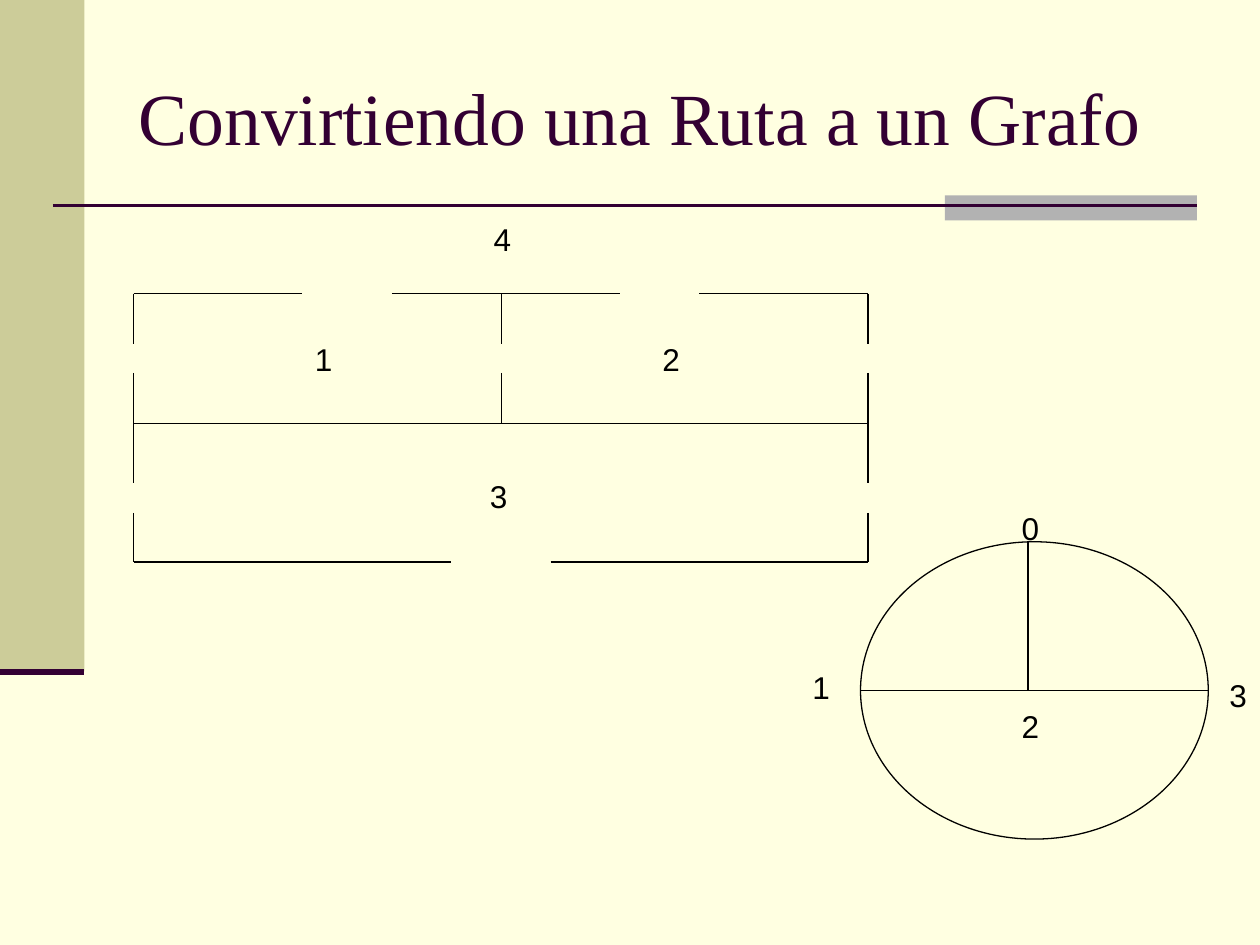
from pptx import Presentation
from pptx.dml.color import RGBColor
from pptx.enum.shapes import MSO_CONNECTOR, MSO_SHAPE
from pptx.enum.text import MSO_ANCHOR, MSO_AUTO_SIZE, PP_ALIGN
from pptx.oxml.ns import qn
from pptx.util import Inches, Pt
from lxml.etree import SubElement

TITLE = "Convirtiendo una Ruta a un Grafo"
HUES = {"page": "FFFFE1", "band": "CCCC99", "tab": "B2B2B2",
        "dark": "330033", "ink": "000000"}

LEFT, MID, RIGHT = 1.06, 3.98, 6.89
TOP, FLOOR, BASE = 2.33, 3.36, 4.46
ROWS = {
    TOP: [(LEFT, 2.4), (3.11, 4.92), (5.55, RIGHT)],
    FLOOR: [(LEFT, 2.4), (1.14, 6.65), (5.55, RIGHT)],
    BASE: [(LEFT, 3.58), (4.37, RIGHT)],
}
SIDE = [(TOP, 2.73), (2.96, 3.83), (4.07, BASE)]
COLS = {LEFT: SIDE, MID: [(TOP, 2.73), (2.96, FLOOR)], RIGHT: SIDE}
ROOMS = [("4", 3.82, 1.7), ("1", 2.4, 2.65), ("2", 5.16, 2.65), ("3", 3.79, 3.74)]

RING = (6.83, 4.3, 2.76, 2.36)
HUB = 8.16
NODES = [("0", 8.01, 3.99), ("3", 9.66, 5.32), ("2", 8.01, 5.56), ("1", 6.35, 5.25)]


def color(name):
    return RGBColor.from_string(HUES[name])


def add_box(slide, kind, spot, fill=None):
    box = slide.shapes.add_shape(kind, *map(Inches, spot))
    box.shadow.inherit = False
    if fill:
        box.fill.solid()
        box.fill.fore_color.rgb = color(fill)
        box.line.fill.background()
    else:
        box.fill.background()
        box.line.color.rgb = color("ink")
        box.line.width = Pt(0.75)


def add_line(slide, x1, y1, x2, y2, hue="ink", width=0.75):
    line = slide.shapes.add_connector(
        MSO_CONNECTOR.STRAIGHT, *map(Inches, (x1, y1, x2, y2)))
    line.line.color.rgb = color(hue)
    line.line.width = Pt(width)
    SubElement(line._element.spPr, qn("a:effectLst"))


def add_run(para, text, size, face, hue):
    run = para.add_run()
    run.text = text
    run.font.size = Pt(size)
    run.font.name = face
    run.font.color.rgb = color(hue)


def add_label(slide, text, x, y):
    box = slide.shapes.add_textbox(*map(Inches, (x, y, 0.34, 0.4)))
    frame = box.text_frame
    frame.word_wrap = False
    frame.auto_size = MSO_AUTO_SIZE.SHAPE_TO_FIT_TEXT
    add_run(frame.paragraphs[0], text, 18, "Arial", "ink")


def add_title(slide):
    title = slide.shapes.title
    title.left, title.top, title.width, title.height = map(Inches, (1, 0.3, 8.5, 1.25))
    frame = title.text_frame
    frame.word_wrap = True
    frame.auto_size = MSO_AUTO_SIZE.NONE
    frame.vertical_anchor = MSO_ANCHOR.MIDDLE
    para = frame.paragraphs[0]
    para.alignment = PP_ALIGN.LEFT
    para.line_spacing = 1.0
    add_run(para, TITLE, 42, "Times New Roman", "dark")


def add_frame(slide):
    add_box(slide, MSO_SHAPE.RECTANGLE, (0, 0, 0.67, 5.33), "band")
    add_box(slide, MSO_SHAPE.RECTANGLE, (7.5, 1.55, 2, 0.2), "tab")
    add_line(slide, 0.42, 1.63, 9.5, 1.63, "dark", 1.5)
    add_line(slide, 0, 5.33, 0.67, 5.33, "dark", 3.5)


def add_plan(slide):
    for y, spans in ROWS.items():
        for x1, x2 in spans:
            add_line(slide, x1, y, x2, y)
    for x, spans in COLS.items():
        for y1, y2 in spans:
            add_line(slide, x, y1, x, y2)


def add_graph(slide):
    x, y, width, height = RING
    axis = y + height / 2
    add_box(slide, MSO_SHAPE.OVAL, RING)
    add_line(slide, x, axis, x + width, axis)
    add_line(slide, HUB, y, HUB, axis)


def main():
    deck = Presentation()
    deck.slide_width, deck.slide_height = Inches(10), Inches(7.5)
    slide = deck.slides.add_slide(deck.slide_layouts[5])
    slide.background.fill.solid()
    slide.background.fill.fore_color.rgb = color("page")
    add_frame(slide)
    add_plan(slide)
    add_graph(slide)
    for label in ROOMS + NODES:
        add_label(slide, *label)
    add_title(slide)
    deck.save("out.pptx")


if __name__ == "__main__":
    main()
